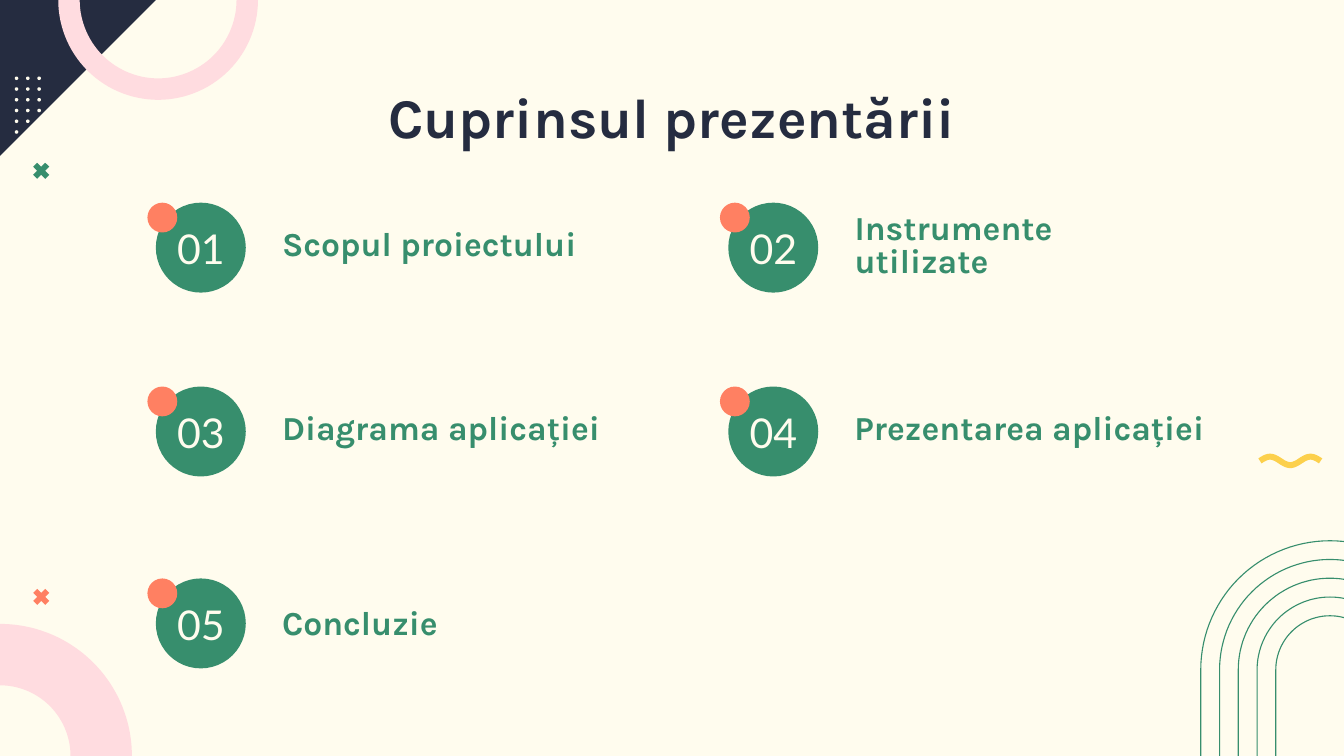
import math

from pptx import Presentation
from pptx import util as u
from pptx.dml.color import RGBColor
from pptx.enum import shapes, text

WIDTH, HEIGHT = 720, 405
CREAM, NAVY, GREEN = "FFFCEE", "252C40", "378E6D"
CORAL, PINK, YELLOW = "FF8062", "FFDCE0", "FCD04C"


def color(hex_code):
    return RGBColor.from_string(hex_code)


def paint(shape, fill):
    shape.shadow.inherit = False
    shape.fill.solid()
    shape.fill.fore_color.rgb = color(fill)
    shape.line.fill.background()


def add_circle(slide, left, top, size, fill):
    circle = slide.shapes.add_shape(
        shapes.MSO_SHAPE.OVAL, u.Pt(left), u.Pt(top), u.Pt(size), u.Pt(size))
    paint(circle, fill)


def add_outline(slide, points, close=True):
    """Build a freeform through points given in points of length."""
    start, *others = [(u.Pt(x), u.Pt(y)) for x, y in points]
    builder = slide.shapes.build_freeform(*start)
    builder.add_line_segments(others, close=close)
    return builder.convert_to_shape()


def arc(center_x, center_y, radius, start, end, steps=60):
    """Return points along an arc; degrees run clockwise from the right."""
    angles = [math.radians(start + (end - start) * i / steps) for i in range(steps + 1)]
    return [(center_x + radius * math.cos(a), center_y + radius * math.sin(a))
            for a in angles]


def add_ring_sector(slide, center_x, center_y, outer, inner, start, end):
    points = (arc(center_x, center_y, outer, start, end)
              + arc(center_x, center_y, inner, end, start))
    paint(add_outline(slide, points), PINK)


def add_text(slide, box, words, font, size, fill, bold=False, centered=True, spacing=1.0):
    text_box = slide.shapes.add_textbox(*[u.Pt(length) for length in box])
    frame = text_box.text_frame
    frame.text = words
    frame.word_wrap = True
    frame.vertical_anchor = text.MSO_ANCHOR.MIDDLE
    frame.margin_left = frame.margin_right = u.Pt(7.2)
    frame.margin_top = frame.margin_bottom = u.Pt(7.2)
    paragraph = frame.paragraphs[0]
    paragraph.alignment = text.PP_ALIGN.CENTER if centered else text.PP_ALIGN.LEFT
    paragraph.line_spacing = spacing
    run_font = paragraph.runs[0].font
    run_font.name, run_font.size, run_font.bold = font, u.Pt(size), bold
    run_font.color.rgb = color(fill)


def add_cross(slide, left, top, size, fill):
    corners = [(1, 0), (0, 1), (1, 2), (0, 3), (1, 4), (2, 3),
               (3, 4), (4, 3), (3, 2), (4, 1), (3, 0), (2, 1)]
    unit = size / 4
    points = [(left + x * unit, top + y * unit) for x, y in corners]
    paint(add_outline(slide, points), fill)


def add_wave(slide, left, top, width, height):
    """Draw a band of even thickness that follows one and a half waves."""
    half = 1.6
    swing = height / 2 - half
    start, length = left + 1, width - 2
    rate = 3 * math.pi / length
    upper, lower = [], []
    for i in range(49):
        x = length * i / 48
        y = top + height / 2 - swing * math.sin(rate * x)
        slope = -swing * rate * math.cos(rate * x)
        scale = half / math.hypot(1, slope)
        upper.append((start + x + slope * scale, y - scale))
        lower.append((start + x - slope * scale, y + scale))
    paint(add_outline(slide, upper + lower[::-1]), YELLOW)


def add_arches(slide, left, top, width, height):
    """Draw five nested arches, open at the bottom."""
    center = left + width / 2
    spring, bottom = top + width / 2, top + height
    for i in range(5):
        radius = width / 2 - 10.05 * i
        points = [(center - radius, bottom), *arc(center, spring, radius, 180, 360),
                  (center + radius, bottom)]
        arch = add_outline(slide, points, close=False)
        arch.shadow.inherit = False
        arch.fill.background()
        arch.line.color.rgb = color(GREEN)
        arch.line.width = u.Pt(0.6)


def add_corner(slide, left, top, size):
    """Draw the dark corner with its ring and the dots that lie on it."""
    triangle = [(left, top), (left + size, top), (left, top + size)]
    paint(add_outline(slide, triangle), NAVY)
    add_ring_sector(slide, left + 84.7, top, 53.5, 42, 0, 180)
    for row in range(6):
        for column in range(3):
            x, y = 7.9 + 6.05 * column, 41 + 5.75 * row
            if x + y < size:
                add_circle(slide, left + x, top + y, 1.9, CREAM)


def add_item(slide, left, top, number, label, label_width=193.7, label_drop=13.1):
    add_circle(slide, left, top, 48.2, GREEN)
    add_circle(slide, left - 4.5, top, 16, CORAL)
    add_text(slide, (left - 0.7, top + 1.5, 49.7, 45.4), number, "Lato", 22, CREAM)
    add_text(slide, (left + 60.5, top + label_drop, label_width, 21.6), label,
             "Karla", 18, GREEN, bold=True, centered=False, spacing=0.8)


def add_contents(slide):
    first, second = 83.5, 390.2
    rows = 108.6, 207.1, 309.9
    add_item(slide, first, rows[0], "01", "Scopul proiectului")
    add_item(slide, second, rows[0], "02", "Instrumente utilizate")
    add_item(slide, first, rows[1], "03", "Diagrama aplicației")
    add_item(slide, second, rows[1], "04", "Prezentarea aplicației", label_width=211.7)
    add_item(slide, first, rows[2], "05", "Concluzie", label_drop=14.8)


def add_decoration(slide):
    add_ring_sector(slide, 0, HEIGHT, 70.7, 37.8, 270, 360)
    add_arches(slide, 643.3, 289.7, 138.4, 268.3)
    add_corner(slide, 0, 0, 83.5)
    add_wave(slide, 674, 243.1, 34.5, 7.7)
    add_cross(slide, 17.8, 315.5, 8.6, CORAL)
    add_cross(slide, 17.8, 87.2, 8.6, GREEN)


def main():
    presentation = Presentation()
    presentation.slide_width, presentation.slide_height = u.Pt(WIDTH), u.Pt(HEIGHT)
    slide = presentation.slides.add_slide(presentation.slide_layouts[6])
    slide.background.fill.solid()
    slide.background.fill.fore_color.rgb = color(CREAM)
    add_decoration(slide)
    add_text(slide, (56.6, 42.5, 606.8, 39.6), "Cuprinsul prezentării",
             "Karla", 30, NAVY, bold=True)
    add_contents(slide)
    presentation.save("out.pptx")


if __name__ == "__main__":
    main()
